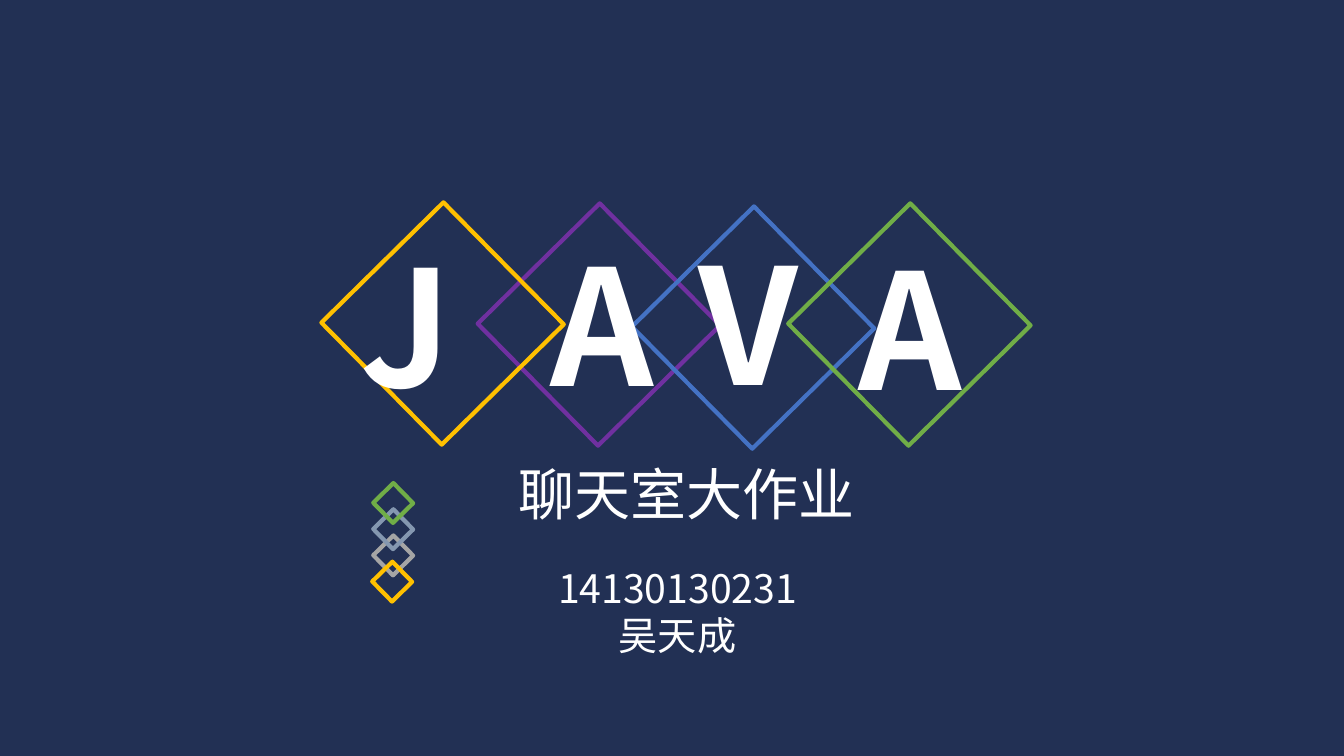
from dataclasses import dataclass

from lxml.etree import SubElement
from pptx import Presentation
from pptx.dml.color import RGBColor
from pptx.enum.shapes import MSO_SHAPE
from pptx.enum.text import MSO_ANCHOR, MSO_AUTO_SIZE, PP_ALIGN
from pptx.oxml.ns import qn
from pptx.slide import Slide
from pptx.text.text import TextFrame
from pptx.util import Inches, Pt


@dataclass(frozen=True)
class Theme:
    font: str = "Noto Sans CJK SC"
    background: str = "223054"
    text: str = "FFFFFF"
    purple: str = "7030A0"
    blue: str = "4472C4"
    gold: str = "FFC000"
    green: str = "70AD47"
    gray: str = "A5A5A5"
    slate: str = "8497B0"
    letter_size: int = 115
    title_size: int = 40
    author_size: int = 28
    outline_width: int = 3


@dataclass(frozen=True)
class Box:
    left: float
    top: float
    width: float
    height: float

    def lengths(self) -> tuple[Inches, Inches, Inches, Inches]:
        return Inches(self.left), Inches(self.top), Inches(self.width), Inches(self.height)


@dataclass(frozen=True)
class Diamond:
    left: float
    top: float
    color: str


@dataclass(frozen=True)
class Letter:
    text: str
    left: float
    top: float
    width: float


THEME = Theme()
LETTER_HEIGHT = 2.04
LARGE_SIDE, LARGE_ROTATION = 1.7, 45.4
SMALL_SIDE, SMALL_ROTATION = 0.28, 315.6
SMALL_TOP, SMALL_STEP = 4.85, 0.26

BACK_LETTER = Letter("A", 8.35, 2.23, 1.36)
FRONT_LETTERS = (
    Letter("J", 3.61, 2.2, 0.84),
    Letter("A", 5.33, 2.19, 1.29),
    Letter("V", 6.8, 2.18, 1.24),
)
LARGE_DIAMONDS = (
    Diamond(5.09, 2.37, THEME.purple),
    Diamond(6.62, 2.4, THEME.blue),
    Diamond(3.54, 2.36, THEME.gold),
    Diamond(8.17, 2.37, THEME.green),
)
SMALL_DIAMONDS = tuple(
    Diamond(left, SMALL_TOP + row * SMALL_STEP, color)
    for row, left, color in (
        (2, 3.76, THEME.gray),
        (1, 3.76, THEME.slate),
        (3, 3.75, THEME.gold),
        (0, 3.76, THEME.green),
    )
)
TITLE_BOX = Box(5.02, 4.44, 3.57, 0.84)
AUTHOR_BOX = Box(4.37, 5.55, 4.7, 1.04)


def write_text(
    frame: TextFrame, lines: tuple[str, ...], size: int,
    bold: bool = False, wrap: bool = False, line_spacing: float = 1.0,
) -> None:
    frame.word_wrap = wrap
    frame.auto_size = MSO_AUTO_SIZE.NONE
    frame.vertical_anchor = MSO_ANCHOR.TOP
    for index, line in enumerate(lines):
        paragraph = frame.add_paragraph() if index else frame.paragraphs[0]
        paragraph.alignment = PP_ALIGN.CENTER
        paragraph.line_spacing = line_spacing
        paragraph.space_before = Pt(0)
        run = paragraph.add_run()
        run.text = line
        run.font.name = THEME.font
        run.font.size = Pt(size)
        run.font.bold = bold
        run.font.color.rgb = RGBColor.from_string(THEME.text)
        east_asian = SubElement(run.font._element, qn("a:ea"))
        east_asian.set("typeface", THEME.font)


def add_letter(slide: Slide, letter: Letter) -> None:
    box = Box(letter.left, letter.top, letter.width, LETTER_HEIGHT)
    shape = slide.shapes.add_textbox(*box.lengths())
    write_text(shape.text_frame, (letter.text,), THEME.letter_size, bold=True)


def add_diamond(slide: Slide, diamond: Diamond, side: float, rotation: float) -> None:
    box = Box(diamond.left, diamond.top, side, side)
    shape = slide.shapes.add_shape(MSO_SHAPE.RECTANGLE, *box.lengths())
    shape.rotation = rotation
    shape.shadow.inherit = False
    shape.fill.background()
    shape.line.color.rgb = RGBColor.from_string(diamond.color)
    shape.line.width = Pt(THEME.outline_width)


def main() -> None:
    presentation = Presentation()
    presentation.slide_width = Inches(13.33)
    presentation.slide_height = Inches(7.5)
    slide = presentation.slides.add_slide(presentation.slide_layouts[0])
    slide.background.fill.solid()
    slide.background.fill.fore_color.rgb = RGBColor.from_string(THEME.background)

    add_letter(slide, BACK_LETTER)
    for diamond in LARGE_DIAMONDS:
        add_diamond(slide, diamond, LARGE_SIDE, LARGE_ROTATION)
    for letter in FRONT_LETTERS:
        add_letter(slide, letter)
    for diamond in SMALL_DIAMONDS:
        add_diamond(slide, diamond, SMALL_SIDE, SMALL_ROTATION)

    title, author = slide.shapes.title, slide.placeholders[1]
    for placeholder, box in ((title, TITLE_BOX), (author, AUTHOR_BOX)):
        placeholder.left, placeholder.top, placeholder.width, placeholder.height = box.lengths()
    write_text(title.text_frame, ("聊天室大作业",), THEME.title_size, line_spacing=1.1)
    write_text(author.text_frame, ("14130130231", "吴天成"), THEME.author_size, wrap=True)
    presentation.save("out.pptx")


if __name__ == "__main__":
    main()
